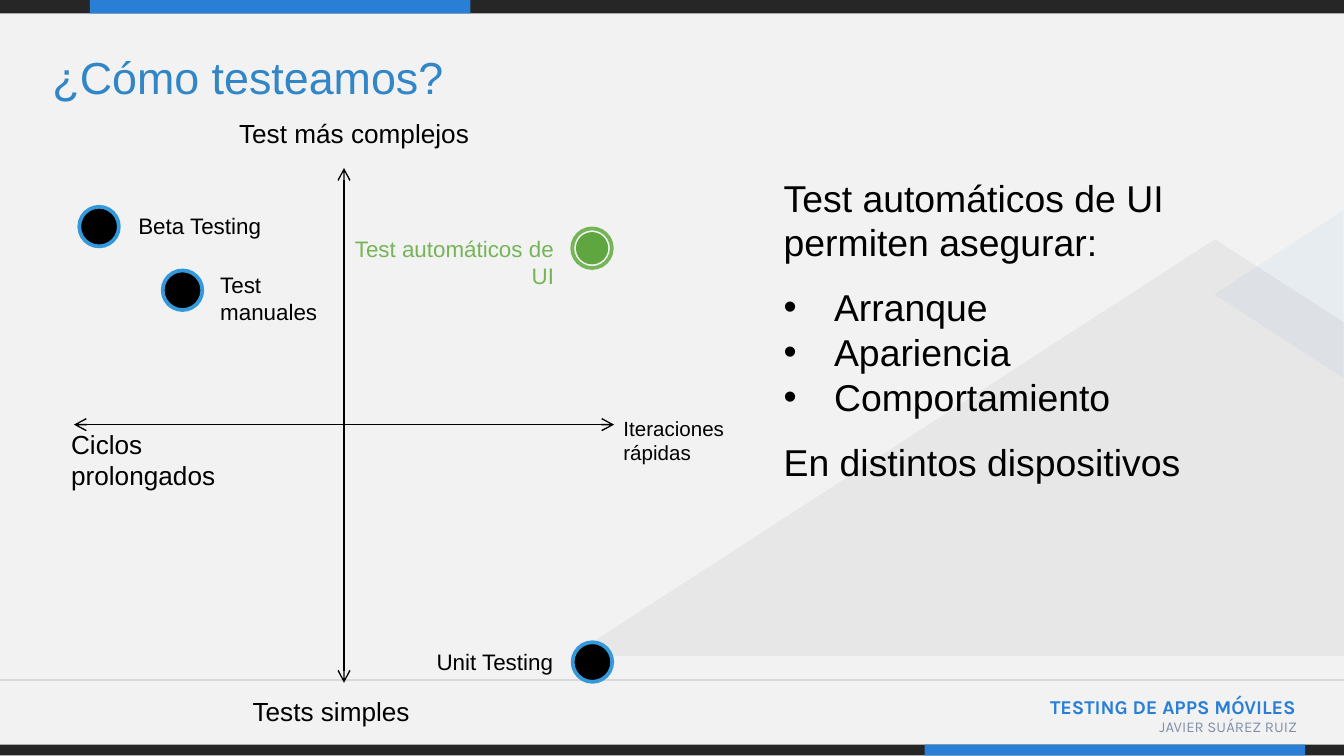
from pptx import Presentation
from pptx.dml.color import RGBColor
from pptx.enum.shapes import MSO_CONNECTOR, MSO_SHAPE
from pptx.enum.text import MSO_ANCHOR, MSO_AUTO_SIZE, PP_ALIGN
from pptx.oxml.ns import qn
from pptx.util import Pt
from lxml.etree import SubElement

# Content; all places are left, top, width, height in points
TITLE = ("¿Cómo testeamos?", (20.9, 12.2, 555, 46.8))
BODY_PLACE = (412.6, 90, 286.6, 190.8)
BODY = [  # text, bulleted, space before
    ("Test automáticos de UI permiten asegurar:", False, 0),
    ("Arranque", True, 10.8),
    ("Apariencia", True, 0),
    ("Comportamiento", True, 0),
    ("En distintos dispositivos", False, 10.8),
]
AXES = [(39.6, 227.5, 329, 227.5), (184.3, 90, 184.3, 365.8)]
AXIS_LABELS = [  # text, place, size
    ("Ciclos prolongados", (31, 236.2, 114.5, 20.2), "axis"),
    ("Iteraciones rápidas", (326.9, 216, 73.4, 39.6), "small_axis"),
    ("Test más complejos", (121, 59.8, 161.3, 23), "axis"),
    ("Tests simples", (128.2, 370.8, 114.5, 20.2), "axis"),
]
TESTS = [  # text, label place, marker centre, highlighted
    ("Beta Testing", (67, 110.9, 114.5, 20.2), (53.1, 121.4), False),
    ("Test manuales", (110.9, 139.7, 87.8, 39.6), (97.8, 155.5), False),
    ("Test automáticos de UI", (179.3, 122.4, 124.6, 45.4), (317.2, 133), True),
    ("Unit Testing", (226.8, 344.2, 79.2, 20.2), (317.4, 354.7), False),
]
FOOTER = [  # text, place, size, colour, bold
    ("TESTING DE APPS MÓVILES", (432, 368.6, 269.3, 28.8), "footer", "blue", True),
    ("JAVIER SUÁREZ RUIZ", (571.7, 380.9, 130.3, 22.3), "author", "slate", False),
]
BARS = [
    ((0, 0, 720, 7.2), "dark"),
    ((48.2, 0, 203.8, 7.2), "blue"),
    ((0, 398.9, 720, 5.8), "dark"),
    ((495.4, 398.9, 203.8, 5.8), "blue"),
]
MOUNTAIN = [(720, 351.4), (720, 172.8), (650.9, 128.2), (306, 351.4)]
PEAK = (640.1, 123.1, 90, 69.1)
DISC, RING = 17.3, 21.2

THEME = {
    "font": "Arial",
    "footer_font": "Karla",
    "colors": {
        "background": "F2F2F2", "dark": "262626", "blue": "297FD5", "rule": "D9D9D9",
        "slate": "7F8FA9", "black": "000000", "ring": "3399DB", "title": "3186C7",
        "green": "60A640", "green_ring": "76B557",
    },
    "sizes": {"title": 24, "body": 20, "axis": 14, "small_axis": 11,
              "test": 12, "footer": 10.5, "author": 8},
}


def color(name):
    return RGBColor.from_string(THEME["colors"][name])


def points(values):
    return [Pt(value) for value in values]


def format_runs(paragraph, size, color_name, font="font", bold=False):
    for run in paragraph.runs:
        run.font.name = THEME[font]
        run.font.size = Pt(THEME["sizes"][size])
        run.font.color.rgb = color(color_name)
        run.font.bold = bold


def add_label(slide, text, place, size, color_name="black", align=PP_ALIGN.LEFT,
              anchor=MSO_ANCHOR.MIDDLE, font="font", bold=False):
    frame = slide.shapes.add_textbox(*points(place)).text_frame
    frame.word_wrap = True
    frame.vertical_anchor = anchor
    frame.text = text
    frame.paragraphs[0].alignment = align
    format_runs(frame.paragraphs[0], size, color_name, font, bold)


def paint(shape, fill=None, line=None, opacity=None):
    shape.shadow.inherit = False
    if fill:
        shape.fill.solid()
        shape.fill.fore_color.rgb = color(fill)
    else:
        shape.fill.background()
    if line:
        shape.line.color.rgb = color(line)
        shape.line.width = Pt(2)
    else:
        shape.line.fill.background()
    if opacity:
        fill_color = shape.element.spPr.find(qn("a:solidFill"))[0]
        SubElement(fill_color, qn("a:alpha"), val=str(opacity * 1000))


def add_line(slide, ends, color_name, arrows=False):
    connector = slide.shapes.add_connector(MSO_CONNECTOR.STRAIGHT, *points(ends))
    connector.line.color.rgb = color(color_name)
    connector.line.width = Pt(0.75)
    if arrows:
        line = connector.line._get_or_add_ln()
        for end in ("a:headEnd", "a:tailEnd"):
            SubElement(line, qn(end), type="arrow")
    SubElement(connector.element.spPr, qn("a:effectLst"))


def add_marker(slide, center, highlighted):
    x, y = center
    group = slide.shapes.add_group_shape()
    if highlighted:
        styles = [(DISC, "green", None), (RING, None, "green_ring")]
    else:
        styles = [(DISC, "black", "ring"), (RING, "black", "ring")]
    for size, fill, line in styles:
        place = (x - size / 2, y - size / 2, size, size)
        paint(group.shapes.add_shape(MSO_SHAPE.OVAL, *points(place)), fill, line)


def add_backdrop(slide):
    slide.background.fill.solid()
    slide.background.fill.fore_color.rgb = color("background")
    for place, fill in BARS:
        paint(slide.shapes.add_shape(MSO_SHAPE.RECTANGLE, *points(place)), fill)
    for text, place, size, color_name, bold in FOOTER:
        add_label(slide, text, place, size, color_name, PP_ALIGN.RIGHT,
                  MSO_ANCHOR.TOP, "footer_font", bold)
    add_line(slide, (0, 364.3, 720, 364.3), "rule")
    outline = [points(corner) for corner in MOUNTAIN]
    builder = slide.shapes.build_freeform(*outline[0])
    builder.add_line_segments(outline[1:], close=True)
    paint(builder.convert_to_shape(), "dark", opacity=5)
    peak = slide.shapes.add_shape(MSO_SHAPE.ISOSCELES_TRIANGLE, *points(PEAK))
    peak.rotation = 270
    paint(peak, "blue", opacity=5)


def add_chart_area(slide):
    for ends in AXES:
        add_line(slide, ends, "black", arrows=True)
    for text, place, size in AXIS_LABELS:
        add_label(slide, text, place, size)
    for text, place, center, highlighted in TESTS:
        add_marker(slide, center, highlighted)
        if highlighted:
            add_label(slide, text, place, "test", "green_ring", PP_ALIGN.RIGHT, MSO_ANCHOR.TOP)
        else:
            add_label(slide, text, place, "test")


def place_placeholder(slide, shape, place, anchor):
    shape.left, shape.top, shape.width, shape.height = points(place)
    slide.shapes.element.append(shape.element)  # bring to front
    frame = shape.text_frame
    frame.word_wrap = True
    frame.auto_size = MSO_AUTO_SIZE.NONE
    frame.vertical_anchor = anchor
    return frame


def fill_placeholders(slide):
    title, body = slide.shapes.title, slide.placeholders[1]
    text, place = TITLE
    frame = place_placeholder(slide, title, place, MSO_ANCHOR.BOTTOM)
    frame.text = text
    frame.paragraphs[0].alignment = PP_ALIGN.LEFT
    format_runs(frame.paragraphs[0], "title", "title")

    frame = place_placeholder(slide, body, BODY_PLACE, MSO_ANCHOR.TOP)
    frame.text = "\n".join(text for text, _, _ in BODY)
    for paragraph, (_, bulleted, space) in zip(frame.paragraphs, BODY):
        paragraph.space_before = Pt(space)
        properties = paragraph._p.get_or_add_pPr()
        indent = Pt(27) if bulleted else 0
        properties.set("marL", str(indent))
        properties.set("indent", str(-indent))
        if bulleted:
            SubElement(properties, qn("a:buFont"), typeface=THEME["font"])
            SubElement(properties, qn("a:buChar"), char="•")
        else:
            SubElement(properties, qn("a:buNone"))
        format_runs(paragraph, "body", "black")


def main():
    presentation = Presentation()
    presentation.slide_width, presentation.slide_height = Pt(720), Pt(405)
    slide = presentation.slides.add_slide(presentation.slide_layouts[1])
    add_backdrop(slide)
    add_chart_area(slide)
    fill_placeholders(slide)
    presentation.save("out.pptx")


if __name__ == "__main__":
    main()
